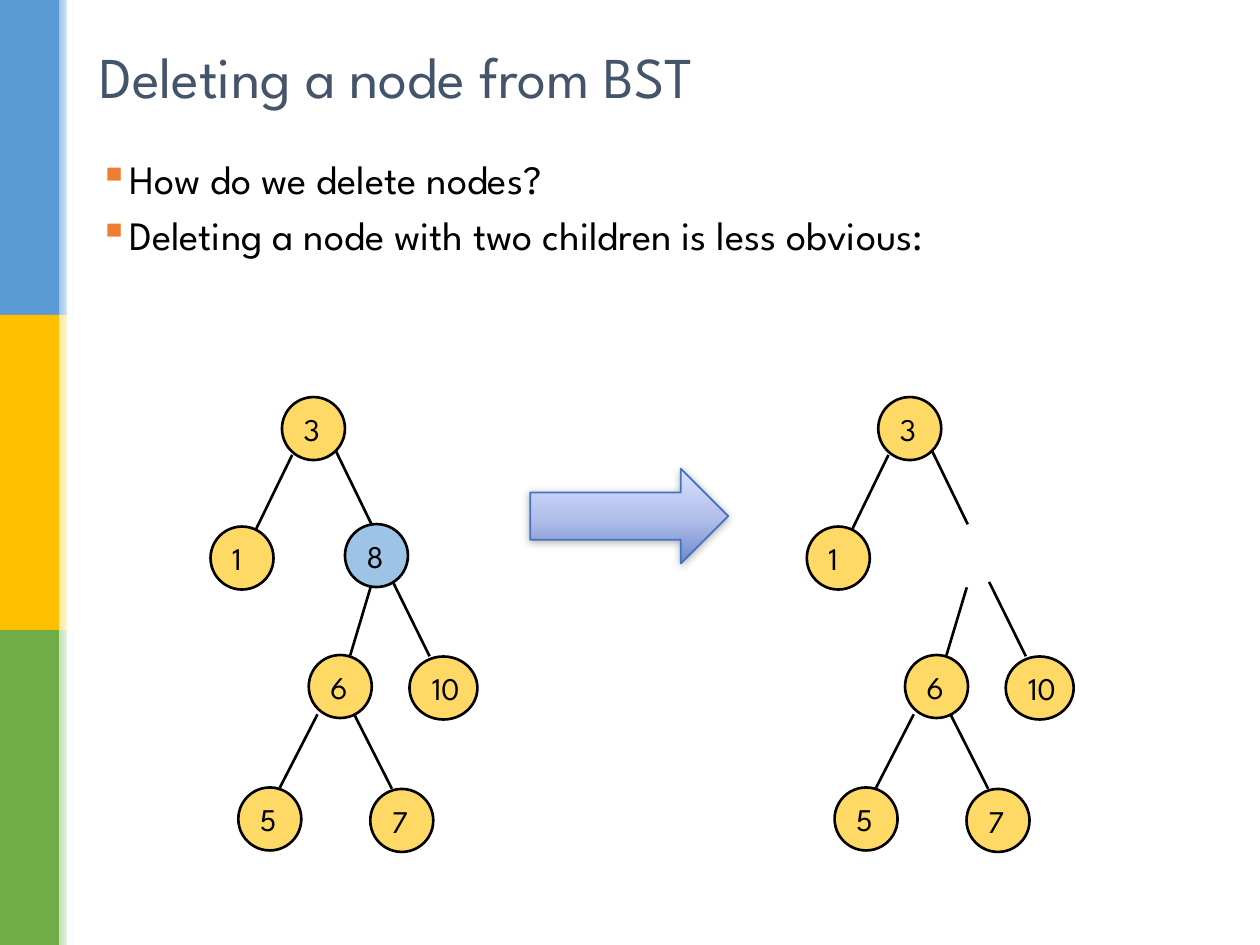
from lxml import etree
from pptx import Presentation
from pptx.dml.color import RGBColor
from pptx.enum import shapes, text
from pptx.oxml import ns
from pptx.util import Cm, Pt

FONT = "League Spartan"
BLACK = RGBColor(0x00, 0x00, 0x00)
WHITE = RGBColor(0xFF, 0xFF, 0xFF)
SLATE = RGBColor(0x44, 0x54, 0x6A)
ORANGE = RGBColor(0xED, 0x7D, 0x31)
BLUE = RGBColor(0x5B, 0x9B, 0xD5)
GOLD = RGBColor(0xFF, 0xC0, 0x00)
GREEN = RGBColor(0x70, 0xAD, 0x47)
LIGHT_BLUE = RGBColor(0x9D, 0xC3, 0xE6)
PALE_GOLD = RGBColor(0xFF, 0xE6, 0x99)
PALE_GREEN = RGBColor(0xC5, 0xE0, 0xB4)
NODE_GOLD = RGBColor(0xFF, 0xD9, 0x66)
ARROW_LINE = RGBColor(0x44, 0x72, 0xC4)
ARROW_DARK = RGBColor(0x6D, 0x89, 0xCB)
ARROW_MIDDLE = RGBColor(0xB2, 0xC0, 0xEA)
ARROW_LIGHT = RGBColor(0xD8, 0xE1, 0xFE)

BANDS = [(BLUE, LIGHT_BLUE), (GOLD, PALE_GOLD), (GREEN, PALE_GREEN)]
BAND_HEIGHT = 6.35
NODE_SIZE = 1.27
WIDE_NODE = 1.37
TREE_SHIFT = 12.02
DELETED = "8"
NODES = {
    "3": (6.32, 8.64),
    "1": (4.88, 11.25),
    "8": (7.59, 11.2),
    "6": (6.86, 13.84),
    "10": (8.94, 13.87),
    "5": (5.44, 16.51),
    "7": (8.1, 16.54),
}
EDGES = [
    (5.89, 9.17, 5.16, 10.67),
    (6.76, 9.07, 7.49, 10.57),
    (7.47, 11.84, 7.06, 13.21),
    (7.92, 11.73, 8.66, 13.23),
    (6.4, 14.4, 5.64, 15.88),
    (7.14, 14.4, 7.9, 15.9),
]


def add_element(parent, tag, **attributes):
    return etree.SubElement(parent, ns.qn(tag), attributes)


def add_span(para, words, size, color):
    span = para.add_run()
    span.text = words
    span.font.name = FONT
    span.font.size = Pt(size)
    span.font.color.rgb = color


def add_block(page, kind, left, top, width, height, fill=None):
    block = page.shapes.add_shape(kind, Cm(left), Cm(top), Cm(width), Cm(height))
    block.shadow.inherit = False
    block.line.fill.background()
    if fill is not None:
        block.fill.solid()
        block.fill.fore_color.rgb = fill
    return block


def set_gradient(block, stops, angle):
    block.fill.gradient()
    block.fill.gradient_angle = angle
    stop_list = block.element.spPr.find(ns.qn("a:gradFill")).find(ns.qn("a:gsLst"))
    for stop in list(stop_list):
        stop_list.remove(stop)
    for position, color in stops:
        stop = add_element(stop_list, "a:gs", pos=str(position * 1000))
        add_element(stop, "a:srgbClr", val=str(color))


def add_sidebar(page):
    rectangle = shapes.MSO_SHAPE.RECTANGLE
    for index, (color, pale) in enumerate(BANDS):
        top = index * BAND_HEIGHT
        add_block(page, rectangle, 0, top, 1.19, BAND_HEIGHT, color)
        edge = add_block(page, rectangle, 1.19, top, 0.3, BAND_HEIGHT)
        set_gradient(edge, [(0, pale), (100, WHITE)], 0)
    add_block(page, rectangle, 1.35, 0, 0.1, 3 * BAND_HEIGHT, WHITE)


def add_title(page, words):
    title = page.shapes.title
    title.left, title.top, title.width, title.height = Cm(1.75), Cm(0.66), Cm(21.9), Cm(1.73)
    title.text_frame.vertical_anchor = text.MSO_ANCHOR.MIDDLE
    para = title.text_frame.paragraphs[0]
    para.alignment = text.PP_ALIGN.LEFT
    add_span(para, words, 33, SLATE)


def add_bullets(page, lines):
    box = page.shapes.add_textbox(Cm(1.75), Cm(3.1), Cm(22.86), Cm(15.34))
    frame = box.text_frame
    frame.word_wrap = True
    for index, line in enumerate(lines):
        para = frame.add_paragraph() if index else frame.paragraphs[0]
        properties = para._p.get_or_add_pPr()
        properties.set("marL", str(Cm(0.48)))
        properties.set("indent", str(-Cm(0.48)))
        bullet_color = add_element(properties, "a:buClr")
        add_element(bullet_color, "a:srgbClr", val=str(ORANGE))
        add_element(properties, "a:buChar", char="▪")
        para.line_spacing = 0.9
        if index:
            para.space_before = Pt(7)
        add_span(para, line, 23, BLACK)


def add_node(page, label, x, y):
    width = WIDE_NODE if len(label) > 1 else NODE_SIZE
    fill = LIGHT_BLUE if label == DELETED else NODE_GOLD
    node = add_block(page, shapes.MSO_SHAPE.OVAL, x - width / 2, y - NODE_SIZE / 2,
                     width, NODE_SIZE, fill)
    node.line.color.rgb = BLACK
    node.line.width = Pt(1.5)
    frame = node.text_frame
    frame.word_wrap = False
    frame.vertical_anchor = text.MSO_ANCHOR.MIDDLE
    para = frame.paragraphs[0]
    para.alignment = text.PP_ALIGN.LEFT
    add_span(para, label, 18, BLACK)


def add_edge(page, x1, y1, x2, y2):
    edge = page.shapes.add_connector(shapes.MSO_CONNECTOR.STRAIGHT,
                                     Cm(x1), Cm(y1), Cm(x2), Cm(y2))
    edge.line.color.rgb = BLACK
    edge.line.width = Pt(1.5)
    add_element(edge._element.spPr, "a:effectLst")


def add_tree(page, shift, labels):
    for x1, y1, x2, y2 in EDGES:
        add_edge(page, x1 + shift, y1, x2 + shift, y2)
    for label in labels:
        x, y = NODES[label]
        add_node(page, label, x + shift, y)


def add_arrow(page):
    arrow = add_block(page, shapes.MSO_SHAPE.RIGHT_ARROW, 10.69, 9.45, 3.99, 1.91)
    set_gradient(arrow, [(0, ARROW_DARK), (48, ARROW_MIDDLE), (100, ARROW_LIGHT)], 90)
    arrow.line.color.rgb = ARROW_LINE
    arrow.line.width = Pt(1)
    effects = arrow.element.spPr.find(ns.qn("a:effectLst"))
    shadow = add_element(effects, "a:outerShdw", blurRad=str(Pt(5)), dist=str(Pt(1)),
                         dir="5400000", rotWithShape="0")
    color = add_element(shadow, "a:srgbClr", val=str(BLACK))
    add_element(color, "a:alpha", val="32000")


def main():
    deck = Presentation()
    deck.slide_width, deck.slide_height = Cm(25.4), Cm(19.05)
    page = deck.slides.add_slide(deck.slide_layouts[5])
    add_sidebar(page)
    add_title(page, "Deleting a node from BST")
    add_bullets(page, ["How do we delete nodes?",
                       "Deleting a node with two children is less obvious:"])
    add_tree(page, 0, NODES)
    add_arrow(page)
    add_tree(page, TREE_SHIFT, [label for label in NODES if label != DELETED])
    deck.save("out.pptx")


if __name__ == "__main__":
    main()
